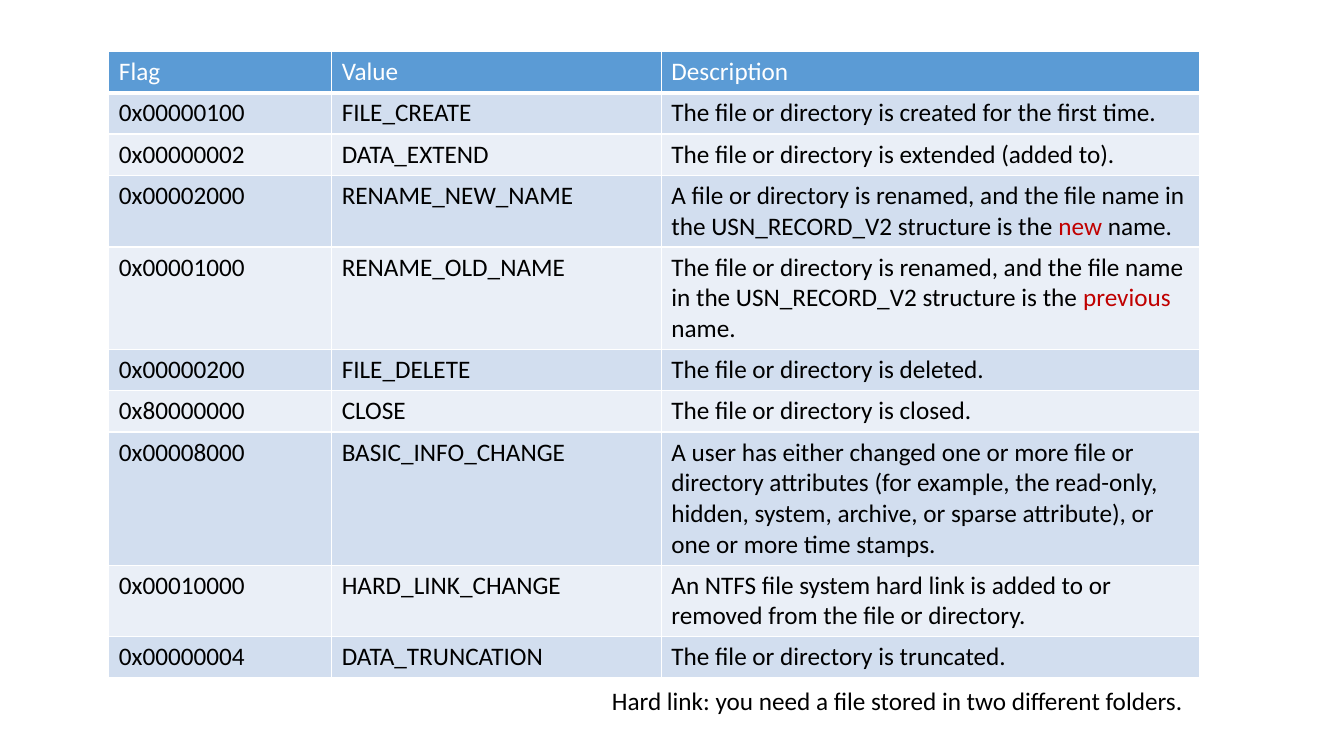
import pptx
import pptx.dml.color
import pptx.enum.text
import pptx.oxml
import pptx.oxml.ns
import pptx.util

Inches = pptx.util.Inches
Pt = pptx.util.Pt

COLORS = {
    "head": "5B9BD5",
    "odd": "D2DEEF",
    "even": "EAEFF7",
    "white": "FFFFFF",
    "black": "000000",
    "red": "C00000",
}
WIDTHS = [2.21, 3.27, 5.34]
ROW = 0.41
FLAGS = [
    ("Flag", "Value", "Description"),
    ("0x00000100", "FILE_CREATE", "The file or directory is created for the first time."),
    ("0x00000002", "DATA_EXTEND", "The file or directory is extended (added to)."),
    ("0x00002000", "RENAME_NEW_NAME",
     "A file or directory is renamed, and the file name in the USN_RECORD_V2 structure is the |new| name."),
    ("0x00001000", "RENAME_OLD_NAME",
     "The file or directory is renamed, and the file name in the USN_RECORD_V2 structure is the |previous| name."),
    ("0x00000200", "FILE_DELETE", "The file or directory is deleted."),
    ("0x80000000", "CLOSE", "The file or directory is closed."),
    ("0x00008000", "BASIC_INFO_CHANGE",
     "A user has either changed one or more file or directory attributes (for example, the read-only, "
     "hidden, system, archive, or sparse attribute), or one or more time stamps."),
    ("0x00010000", "HARD_LINK_CHANGE",
     "An NTFS file system hard link is added to or removed from the file or directory."),
    ("0x00000004", "DATA_TRUNCATION", "The file or directory is truncated."),
]
NOTE = "Hard link: you need a file stored in two different folders."


def color(name):
    return pptx.dml.color.RGBColor.from_string(COLORS[name])


def write(para, text, tone):
    para.font.size = Pt(18)
    para.font.name = "Calibri"
    para.font.color.rgb = color(tone)
    for i, part in enumerate(text.split("|")):
        run = para.add_run()
        run.text = part
        if i % 2:
            run.font.color.rgb = color("red")


def border(cell, sides):
    props = cell._tc.get_or_add_tcPr()
    for i, (side, width) in enumerate(sides.items()):
        line = pptx.oxml.parse_xml(
            f'<a:{side} {pptx.oxml.ns.nsdecls("a")} w="{Pt(width)}">'
            f'<a:solidFill><a:srgbClr val="{COLORS["white"]}"/></a:solidFill></a:{side}>')
        props.insert(i, line)


def flag_table(slide, left, top, width):
    frame = slide.shapes.add_table(
        len(FLAGS), len(WIDTHS), Inches(left), Inches(top),
        Inches(width), Inches(ROW * len(FLAGS)))
    table = frame.table
    for col, size in zip(table.columns, WIDTHS):
        col.width = Inches(size)
    for r, texts in enumerate(FLAGS):
        table.rows[r].height = Inches(ROW)
        fill = "head" if r == 0 else "odd" if r % 2 else "even"
        tone = "black" if r else "white"
        sides = {"lnL": 1, "lnR": 1, "lnT": 3 if r == 1 else 1, "lnB": 1 if r else 3}
        for c, text in enumerate(texts):
            cell = table.cell(r, c)
            cell.fill.solid()
            cell.fill.fore_color.rgb = color(fill)
            border(cell, sides)
            write(cell.text_frame.paragraphs[0], text, tone)


def foot_note(slide, left, top, width, height):
    box = slide.shapes.add_textbox(Inches(left), Inches(top), Inches(width), Inches(height))
    frame = box.text_frame
    frame.word_wrap = False
    frame.auto_size = pptx.enum.text.MSO_AUTO_SIZE.SHAPE_TO_FIT_TEXT
    write(frame.paragraphs[0], NOTE, "black")


def main():
    deck = pptx.Presentation()
    deck.slide_width = Inches(13.33)
    deck.slide_height = Inches(7.5)
    slide = deck.slides.add_slide(deck.slide_layouts[6])
    flag_table(slide, 1.08, 0.51, sum(WIDTHS))
    foot_note(slide, 5.97, 6.75, 5.94, 0.4)
    deck.save("out.pptx")


if __name__ == "__main__":
    main()
